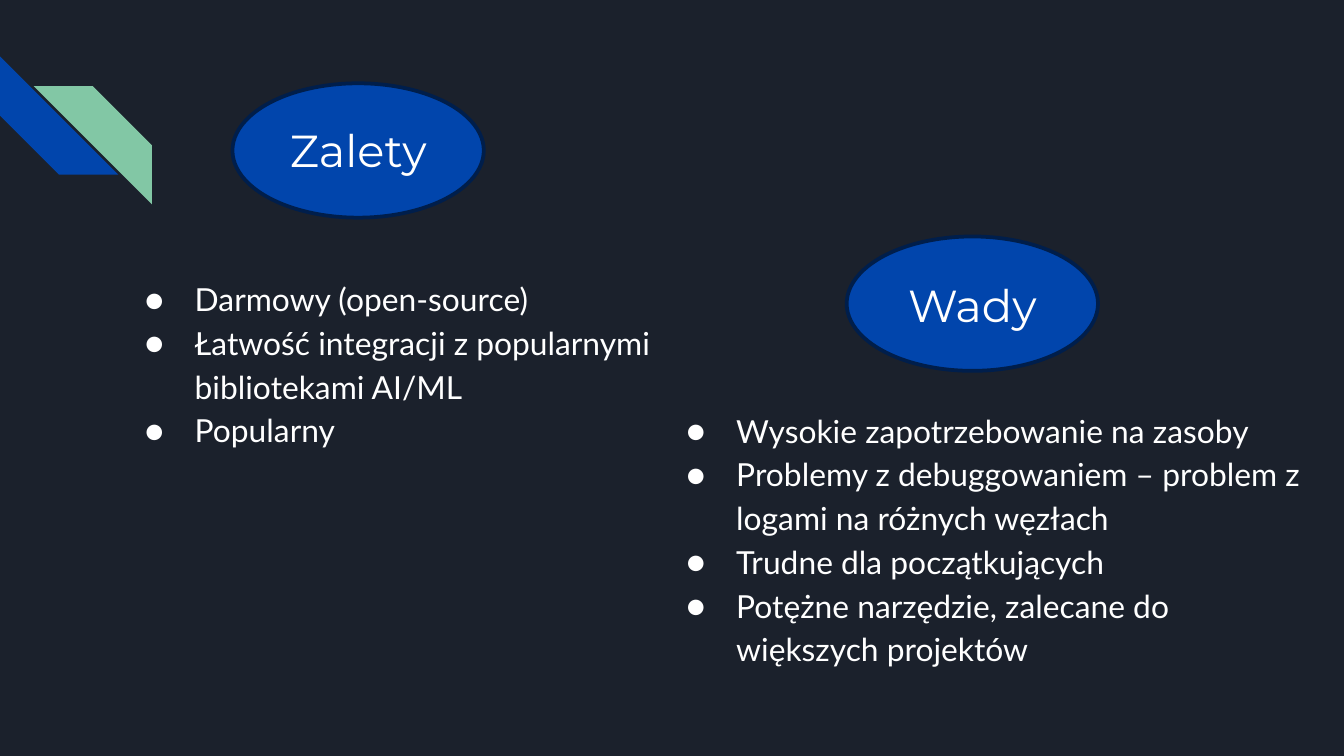
import pptx
import pptx.util
import pptx.dml.color
import pptx.enum.shapes
import pptx.enum.text
import lxml.etree

Inches = pptx.util.Inches
Pt = pptx.util.Pt
kinds = pptx.enum.shapes.MSO_SHAPE
hues = {"back": "1B212C", "blue": "0145AC", "green": "82C7A5",
        "edge": "001E4B", "text": "FFFFFF"}


def tint(name):
    return pptx.dml.color.RGBColor.from_string(hues[name])


def write(slide, box, lines, font, inset):
    """Add a wrapped text box and return its paragraphs."""
    frame = slide.shapes.add_textbox(*map(Inches, box)).text_frame
    form = {"word_wrap": True, "margin_top": Inches(inset), "margin_bottom": Inches(inset),
            "vertical_anchor": pptx.enum.text.MSO_ANCHOR.TOP}
    for key, value in form.items():
        setattr(frame, key, value)
    frame.text = "\n".join(lines)
    for para in frame.paragraphs:
        for key, value in font.items():
            setattr(para.runs[0].font, key, value)
        para.runs[0].font.color.rgb = tint("text")
    return frame.paragraphs


deck = pptx.Presentation()
deck.slide_width = Inches(10)
deck.slide_height = Inches(10 * 9 / 16)
slide = deck.slides.add_slide(deck.slide_layouts[6])
slide.background.fill.solid()
slide.background.fill.fore_color.rgb = tint("back")

# Corner stripes
for left, top, turn, hue in [(0, 0.42, 270, "blue"), (0.25, 0.64, 90, "green")]:
    size = Inches(0.88)
    stripe = slide.shapes.add_shape(kinds.DIAGONAL_STRIPE, Inches(left), Inches(top), size, size)
    stripe.rotation = turn
    stripe.shadow.inherit = False
    stripe.fill.solid()
    stripe.fill.fore_color.rgb = tint(hue)
    stripe.line.fill.background()

# Headings on ovals
head = {"name": "Montserrat", "size": Pt(24)}
for left, top, drop, word in [(1.73, 0.62, 0.19, "Zalety"), (6.3, 1.76, 0.21, "Wady")]:
    oval = slide.shapes.add_shape(kinds.OVAL, Inches(left), Inches(top), Inches(1.87), Inches(1))
    oval.shadow.inherit = False
    oval.fill.solid()
    oval.fill.fore_color.rgb = tint("blue")
    oval.line.color.rgb = tint("edge")
    oval.line.width = Pt(2)
    title = write(slide, (left - 0.52, top + drop, 2.91, 1), [word], head, 0.1)
    title[0].alignment = pptx.enum.text.PP_ALIGN.CENTER

# Bullet lists
pros = ["Darmowy (open-source)",
        "Łatwość integracji z popularnymi bibliotekami AI/ML",
        "Popularny"]
cons = ["Wysokie zapotrzebowanie na zasoby",
        "Problemy z debuggowaniem – problem z logami na różnych węzłach",
        "Trudne dla początkujących",
        "Potężne narzędzie, zalecane do większych projektów"]
body = {"name": "Lato", "size": Pt(17)}
space = "{http://schemas.openxmlformats.org/drawingml/2006/main}"
for box, lines in [((0.85, 1.99, 4.15, 2.41), pros), ((4.88, 2.97, 5, 2.04), cons)]:
    for para in write(slide, box, lines, body, 0.05):
        para.line_spacing = 1.15
        props = para._p.get_or_add_pPr()
        props.set("marL", str(Inches(0.5)))
        props.set("indent", str(Inches(-0.37)))
        color = lxml.etree.SubElement(props, space + "buClr")
        lxml.etree.SubElement(color, space + "srgbClr", val=hues["text"])
        lxml.etree.SubElement(props, space + "buFont", typeface="Lato")
        lxml.etree.SubElement(props, space + "buChar", char="●")

deck.save("out.pptx")
